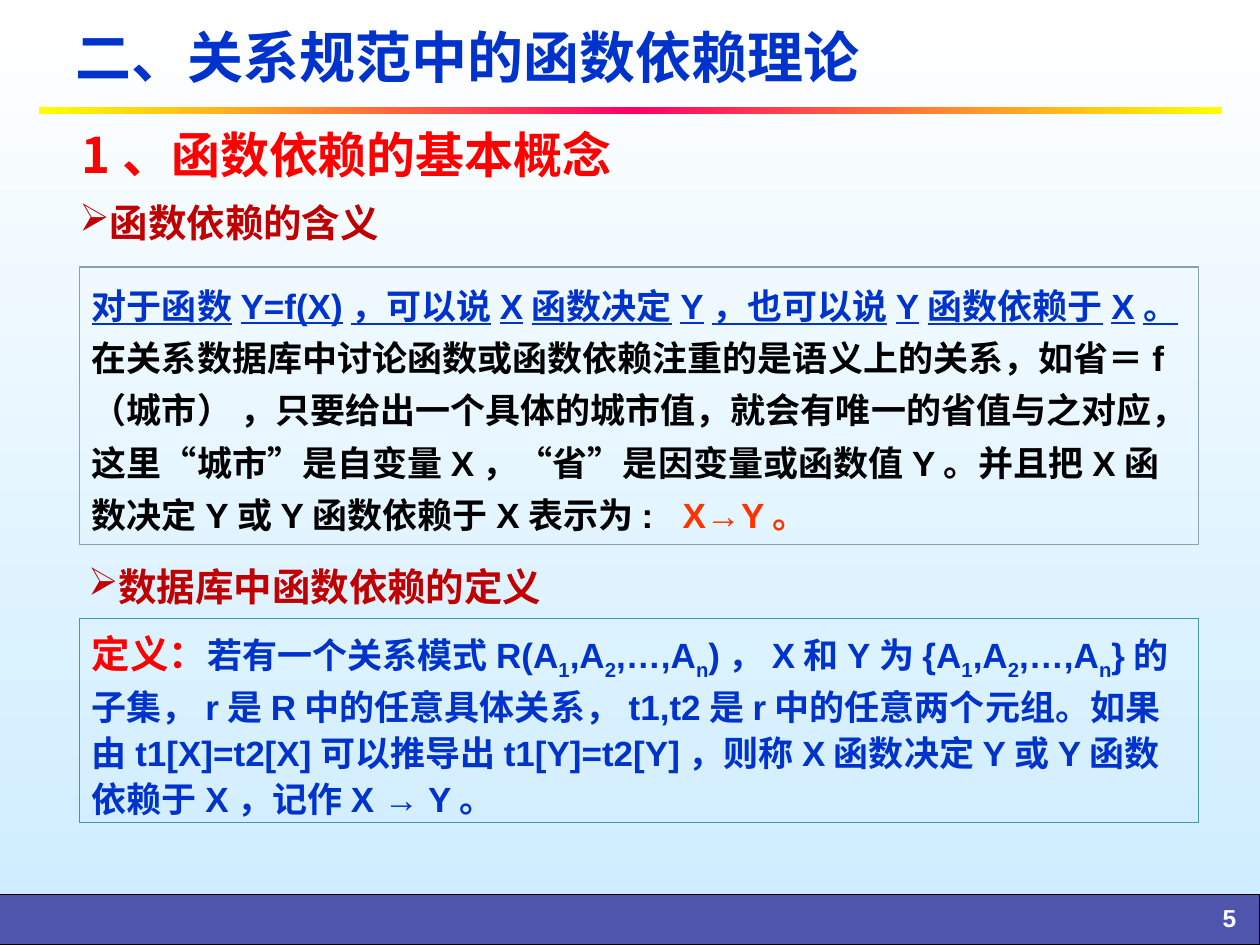
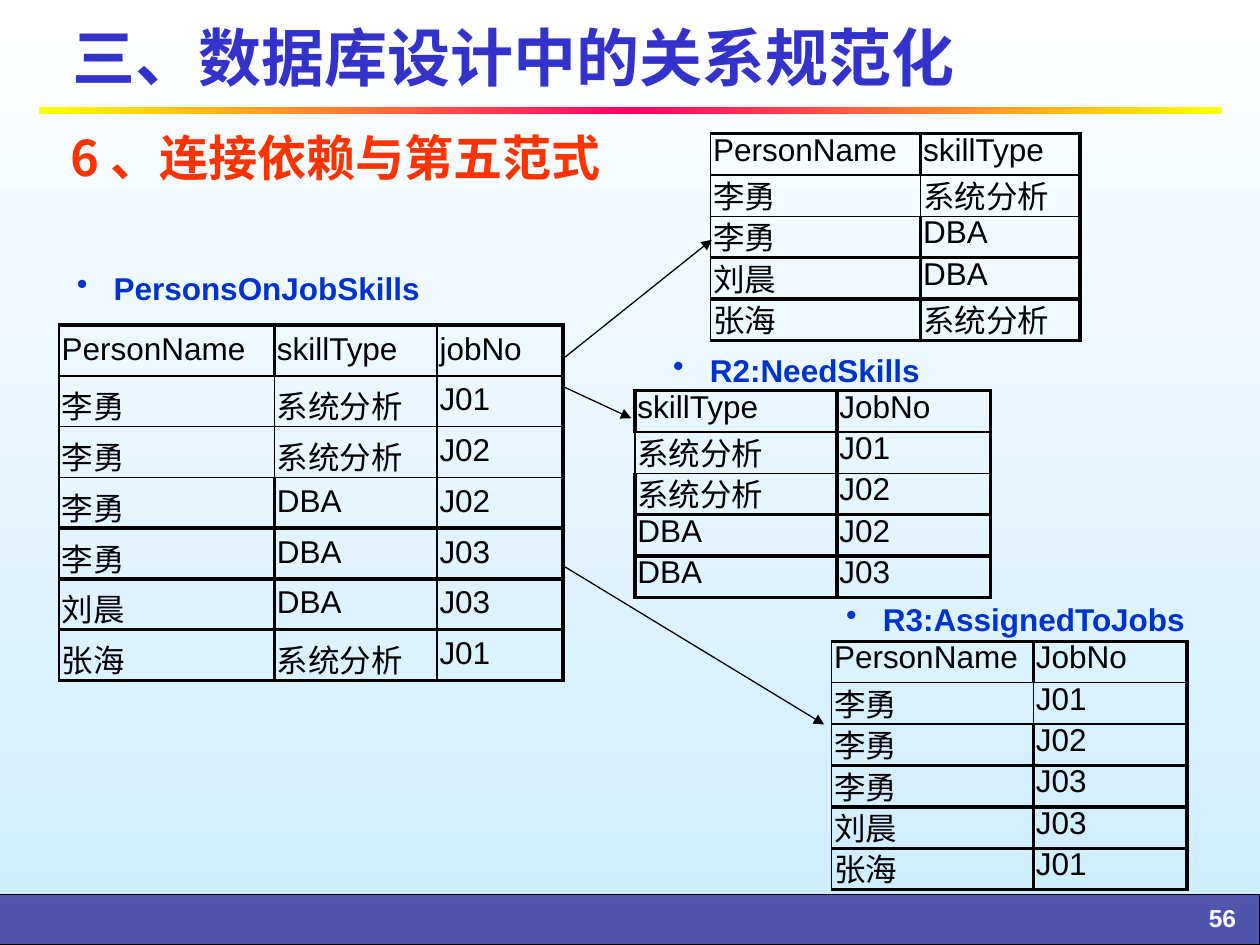
from copy import deepcopy

from lxml import etree
from pptx import Presentation
from pptx.dml.color import RGBColor
from pptx.enum.shapes import MSO_CONNECTOR, MSO_SHAPE
from pptx.enum.text import MSO_ANCHOR, PP_ALIGN
from pptx.oxml.ns import qn
from pptx.util import Pt

RECTANGLE = MSO_SHAPE.RECTANGLE
STRAIGHT = MSO_CONNECTOR.STRAIGHT
TOP, MIDDLE = MSO_ANCHOR.TOP, MSO_ANCHOR.MIDDLE
LEFT, CENTER, RIGHT = PP_ALIGN.LEFT, PP_ALIGN.CENTER, PP_ALIGN.RIGHT

LATIN, CHINESE = "Arial", "Noto Sans CJK SC"
BLACK, WHITE, BLUE = "000000", "FFFFFF", "0033CC"
RED, DARK_RED, ORANGE = "FF0000", "C00000", "FF3300"
THIN, THICK = 1, 2.25
MIXED = "thin beside the first data rows, thick elsewhere"


def color(hex_text):
    return RGBColor.from_string(hex_text)


def sub_element(parent, tag, **attributes):
    return etree.SubElement(parent, qn(tag), attributes)


def write_text(frame, content, size=18, font=LATIN, hue=BLACK, bold=True,
               align=LEFT, anchor=TOP, wrap=True, spacing=None, bullet=None,
               indent=0):
    """Fill a frame with one paragraph; content is text or (text, overrides) runs."""
    frame.word_wrap = wrap
    frame.vertical_anchor = anchor
    paragraph = frame.paragraphs[0]
    paragraph.alignment = align
    if spacing:
        paragraph.line_spacing = spacing
    if bullet:
        properties = paragraph._p.get_or_add_pPr()
        properties.set("marL", str(Pt(indent)))
        properties.set("indent", str(-Pt(indent)))
        sub_element(properties, "a:buChar", char=bullet)
    runs = [(content, {})] if isinstance(content, str) else content
    for text, overrides in runs:
        run = paragraph.add_run()
        run.text = text
        run.font.size = Pt(overrides.get("size", size))
        run.font.bold = bold
        run.font.underline = overrides.get("underline")
        run.font.color.rgb = color(overrides.get("hue", hue))
        run.font.name = font
        properties = run._r.get_or_add_rPr()
        sub_element(properties, "a:ea", typeface=CHINESE)
        if overrides.get("subscript"):
            properties.set("baseline", "-25000")


def set_gradient(fill, element, stops, angle):
    fill.gradient()
    fill.gradient_angle = angle
    stop_list = element.xpath(".//a:gsLst")[0]
    while len(stop_list) < len(stops):
        stop_list.append(deepcopy(stop_list[0]))
    for stop, (position, hue) in zip(fill.gradient_stops, stops):
        stop.position = position
        stop.color.rgb = color(hue)


def draw_borders(cell, left, right, top, bottom):
    properties = cell._tc.get_or_add_tcPr()
    for side, width in zip("LRTB", (left, right, top, bottom)):
        line = sub_element(properties, f"a:ln{side}", w=str(Pt(width)))
        sub_element(sub_element(line, "a:solidFill"), "a:srgbClr", val=BLACK)


class Deck:
    def __init__(self):
        self.presentation = Presentation()
        self.presentation.slide_width = Pt(720)
        self.presentation.slide_height = Pt(540)
        self.slide = None

    def new_slide(self, title, number, title_size, title_hue, title_left):
        self.slide = self.presentation.slides.add_slide(
            self.presentation.slide_layouts[6])
        set_gradient(self.slide.background.fill, self.slide.element,
                     [(0, WHITE), (1, "CCECFF")], 270)
        self.footer_band(number)
        self.title_rule()
        self.text((title_left, 5, 648, 54.7), title, size=title_size,
                  hue=title_hue, anchor=MIDDLE)

    def rectangle(self, box, line=None, width=0.75):
        shape = self.slide.shapes.add_shape(RECTANGLE, *map(Pt, box))
        shape.shadow.inherit = False
        shape.fill.background()
        if line:
            shape.line.color.rgb = color(line)
            shape.line.width = Pt(width)
        else:
            shape.line.fill.background()
        return shape

    def footer_band(self, number):
        band = self.rectangle((-0.7, 511.2, 720.7, 28.6), BLACK)
        band.fill.solid()
        band.fill.fore_color.rgb = color("333399")
        fill_color = band.element.spPr.find(qn("a:solidFill"))[0]
        sub_element(fill_color, "a:alpha", val="81000")
        self.text((643.7, 512.6, 69.8, 21.6), str(number), size=14,
                  hue=WHITE, align=RIGHT)

    def title_rule(self):
        bar = self.rectangle((22.3, 61.2, 676, 4))
        set_gradient(bar.fill, bar.element,
                     [(0, "FFFF00"), (0.5, "FF0066"), (1, "FFFF00")], 0)

    def text(self, box, content, **style):
        shape = self.slide.shapes.add_textbox(*map(Pt, box))
        write_text(shape.text_frame, content, **style)

    def heading(self, box, content, hue):
        self.text(box, content, size=28, font=CHINESE, hue=hue,
                  anchor=MIDDLE, wrap=False)

    def subheading(self, box, content):
        self.text(box, content, size=22, font=CHINESE, hue=DARK_RED,
                  wrap=False, bullet="➢")

    def table_label(self, left, top, content):
        self.text((left, top, 229, 36.7), content, hue=BLUE, align=CENTER,
                  anchor=MIDDLE, bullet="•", indent=21)

    def framed_text(self, box, runs, line, width, spacing):
        shape = self.rectangle(box, line, width)
        write_text(shape.text_frame, runs, size=20, hue=BLUE, spacing=spacing)

    def table(self, left, top, widths, row_height, rows, verticals,
              thin_rows=1, spacing=0.75):
        """verticals gives the weight of each column line, from left to right."""
        frame = self.slide.shapes.add_table(
            len(rows), len(widths), Pt(left), Pt(top), Pt(sum(widths)),
            Pt(row_height * len(rows)))
        table = frame.table
        table.first_row = table.horz_banding = False
        for column, width in zip(table.columns, widths):
            column.width = Pt(width)
        horizontals = [THICK] + [THIN] * (thin_rows + 1)
        horizontals += [THICK] * (len(rows) + 1 - len(horizontals))
        for i, values in enumerate(rows):
            table.rows[i].height = Pt(row_height)
            mixed = THIN if 1 <= i <= thin_rows else THICK
            weights = [mixed if v == MIXED else v for v in verticals]
            for j, value in enumerate(values):
                cell = table.cell(i, j)
                cell.margin_left = cell.margin_right = Pt(1.4)
                cell.margin_top = cell.margin_bottom = Pt(3.6)
                draw_borders(cell, *weights[j:j + 2], *horizontals[i:i + 2])
                cell.fill.background()
                write_text(cell.text_frame, value, bold=False, spacing=spacing)

    def arrow(self, *ends):
        connector = self.slide.shapes.add_connector(STRAIGHT, *map(Pt, ends))
        connector.line.color.rgb = color(BLACK)
        connector.line.width = Pt(0.75)
        sub_element(connector.line._get_or_add_ln(), "a:tailEnd", type="triangle")
        sub_element(connector.element.spPr, "a:effectLst")


def build_dependency_slide(deck):
    deck.new_slide("二、关系规范中的函数依赖理论", 5, 32, BLUE, 36)
    deck.heading((39.6, 64, 412.6, 48.2), "1、函数依赖的基本概念", RED)
    deck.subheading((38.2, 110.2, 186.5, 43.2), "函数依赖的含义")
    deck.framed_text((45.4, 152.8, 639.4, 158.4), [
        ("对于函数Y=f(X)，可以说X函数决定Y，也可以说Y函数依赖于X。",
         {"underline": True}),
        (" 在关系数据库中讨论函数或函数依赖注重的是语义上的关系，如省＝f（城市） ，"
         "只要给出一个具体的城市值，就会有唯一的省值与之对应，这里“城市”是自变量X，"
         "“省”是因变量或函数值Y。并且把X函数决定Y或Y函数依赖于X表示为:   ",
         {"hue": BLACK}),
        ("X→Y。", {"hue": ORANGE}),
    ], "89A4A7", 1, 1.25)
    deck.subheading((43.2, 318.2, 275, 35.3), "数据库中函数依赖的定义")
    subscript = {"subscript": True}
    attributes = [("A", {}), ("1", subscript), (",A", {}), ("2", subscript),
                  (",…,A", {}), ("n", subscript)]
    deck.framed_text((45.4, 353.5, 639.4, 116.6), [
        ("定义：", {"size": 22, "hue": RED}),
        ("若有一个关系模式R(", {}), *attributes,
        (")，X和Y为{", {}), *attributes,
        ("}的子集，r是R中的任意具体关系，t1,t2是r中的任意两个元组。"
         "如果由t1[X]=t2[X]可以推导出t1[Y]=t2[Y]，"
         "则称X函数决定Y或Y函数依赖于X，记作X → Y。", {}),
    ], "46999D", 0.75, 1.1)


def build_join_slide(deck):
    deck.new_slide("三、数据库设计中的关系规范化", 56, 36, "3333CC", 34.6)
    deck.heading((33.1, 65.5, 333.4, 48.2), "6、连接依赖与第五范式", ORANGE)

    deck.table_label(27.4, 146.2, "PersonsOnJobSkills")
    deck.table(33.8, 185.8, [123, 93, 72], 29, [
        ("PersonName", "skillType", "jobNo"),
        ("李勇", "系统分析", "J01"),
        ("李勇", "系统分析", "J02"),
        ("李勇", "DBA", "J02"),
        ("李勇", "DBA", "J03"),
        ("刘晨", "DBA", "J03"),
        ("张海", "系统分析", "J01"),
    ], [THIN, MIXED, THIN, THICK], thin_rows=2, spacing=None)

    deck.table(406.1, 76.3, [120, 91], 23.65, [
        ("PersonName", "skillType"),
        ("李勇", "系统分析"),
        ("李勇", "DBA"),
        ("刘晨", "DBA"),
        ("张海", "系统分析"),
    ], [THIN, MIXED, THICK])

    deck.table_label(340.6, 193, "R2:NeedSkills")
    deck.table(362.9, 223.2, [115.4, 87.6], 23.65, [
        ("skillType", "JobNo"),
        ("系统分析", "J01"),
        ("系统分析", "J02"),
        ("DBA", "J02"),
        ("DBA", "J03"),
    ], [MIXED, THICK, THICK])

    deck.table_label(465.8, 335.5, "R3:AssignedToJobs")
    deck.table(475.2, 366.5, [115.4, 87.6], 23.65, [
        ("PersonName", "JobNo"),
        ("李勇", "J01"),
        ("李勇", "J02"),
        ("李勇", "J03"),
        ("刘晨", "J03"),
        ("张海", "J01"),
    ], [THIN, MIXED, THICK])

    deck.arrow(323, 204, 406.8, 137)
    deck.arrow(322, 221, 360.7, 239)
    deck.arrow(323, 324, 471, 414)


def main():
    deck = Deck()
    build_dependency_slide(deck)
    build_join_slide(deck)
    deck.presentation.save("out.pptx")


if __name__ == "__main__":
    main()
